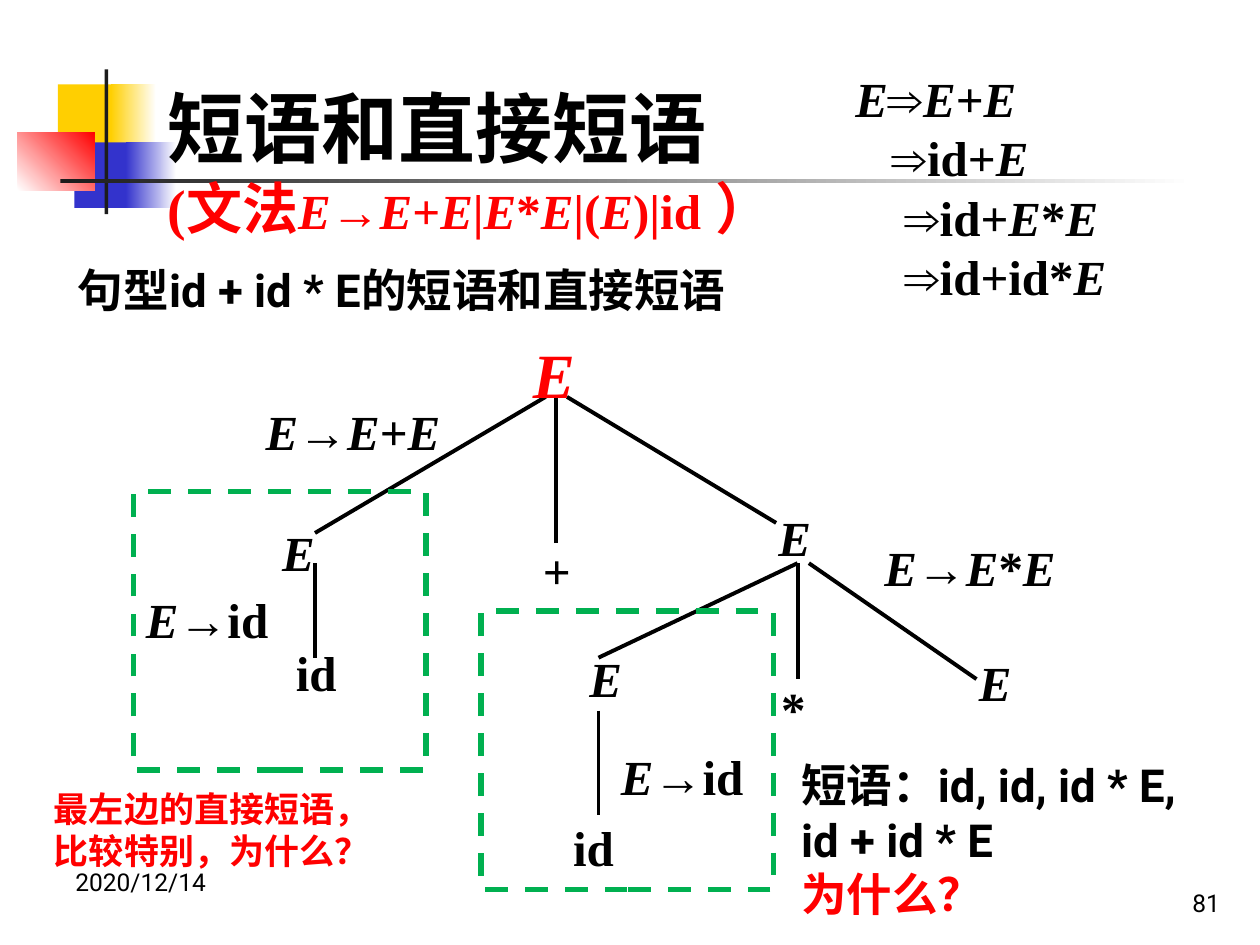
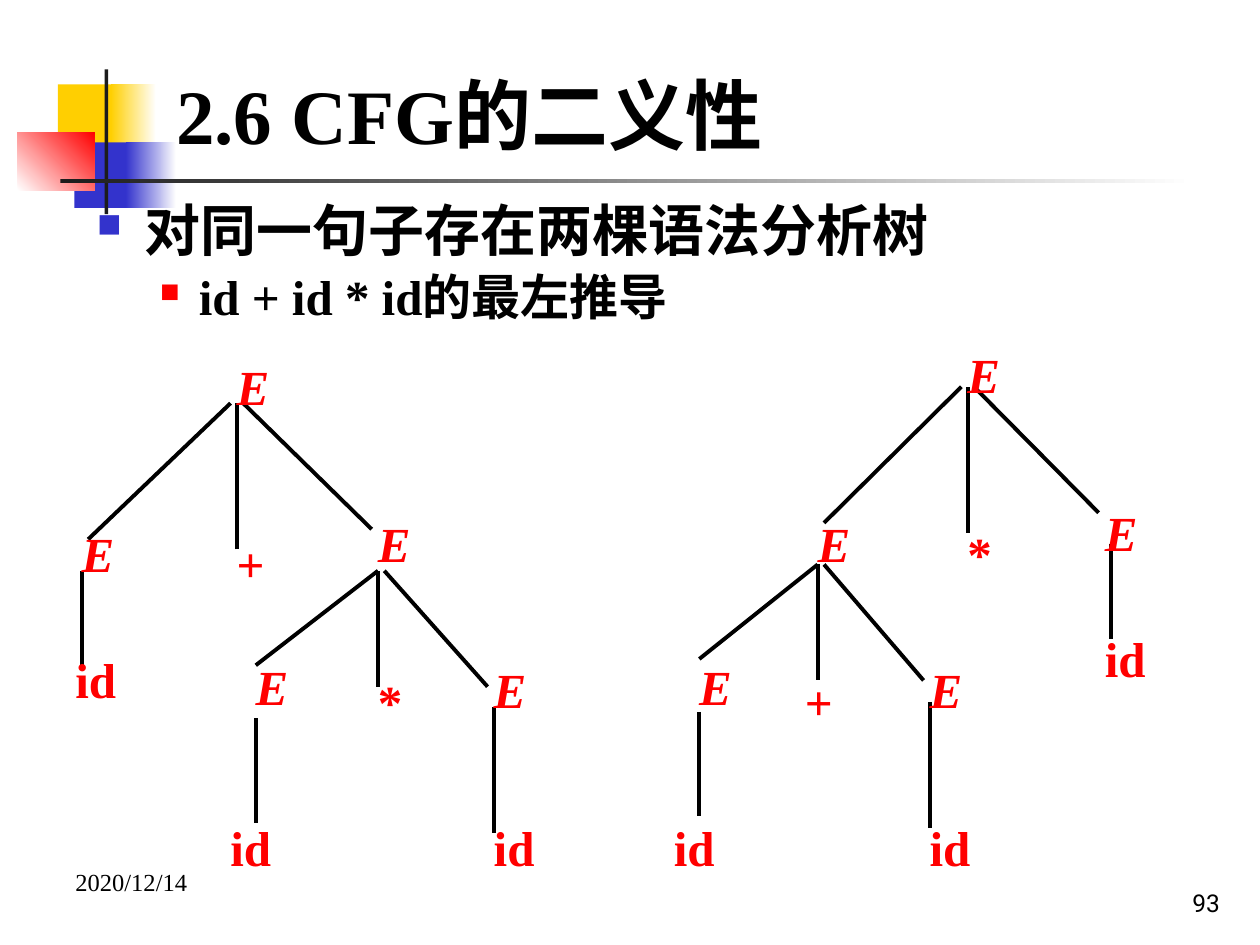
"""Build two slides on phrases and ambiguity in context-free grammars."""
from dataclasses import dataclass
from itertools import groupby
from typing import NamedTuple, Optional

from lxml import etree
from pptx import Presentation
from pptx.dml.color import RGBColor
from pptx.enum.dml import MSO_LINE
from pptx.enum.shapes import MSO_CONNECTOR, MSO_SHAPE
from pptx.enum.text import MSO_ANCHOR, PP_ALIGN
from pptx.oxml.ns import qn
from pptx.util import Inches, Pt

RECTANGLE = MSO_SHAPE.RECTANGLE
STRAIGHT = MSO_CONNECTOR.STRAIGHT
DASH = MSO_LINE.DASH
TOP, MIDDLE, BOTTOM = MSO_ANCHOR.TOP, MSO_ANCHOR.MIDDLE, MSO_ANCHOR.BOTTOM
LEFT, RIGHT, JUSTIFY = PP_ALIGN.LEFT, PP_ALIGN.RIGHT, PP_ALIGN.JUSTIFY


@dataclass(frozen=True)
class Theme:
    black: str = "000000"
    white: str = "FFFFFF"
    red: str = "FF0000"
    yellow: str = "FFCF01"
    blue: str = "3333CC"
    charcoal: str = "1C1C1C"
    green: str = "00B050"
    serif: str = "Times New Roman"
    sans: str = "Roboto"
    title: int = 44
    heading: int = 32
    root: int = 36
    formula: int = 28
    body: int = 26
    remark: int = 20
    footer: int = 14
    edge: float = 2.25
    frame: float = 3.25


THEME = Theme()


class Box(NamedTuple):
    left: float
    top: float
    width: float
    height: float


class Band(NamedTuple):
    box: Box
    start: str
    end: Optional[str] = None
    angle: int = 0


class Piece(NamedTuple):
    text: str
    size: int


class Line(NamedTuple):
    pieces: list[Piece]
    color: str = THEME.black
    font: str = THEME.serif
    bold: bool = True
    align: PP_ALIGN = LEFT
    spacing: Optional[float] = None
    before: float = 0
    indent: float = 0
    hanging: float = 0
    bullet_color: Optional[str] = None
    bullet_percent: int = 100


class Node(NamedTuple):
    text: str
    left: float
    top: float
    width: float
    color: str = THEME.black
    size: int = THEME.formula


class Edge(NamedTuple):
    x1: float
    y1: float
    x2: float
    y2: float


BANDS = [
    Band(Box(0.46, 0.67, 0.48, 0.52), THEME.yellow),
    Band(Box(0.88, 0.67, 0.36, 0.52), THEME.yellow, THEME.white),
    Band(Box(0.59, 1.13, 0.46, 0.52), THEME.blue),
    Band(Box(1, 1.13, 0.4, 0.52), THEME.blue, THEME.white),
    Band(Box(0.14, 1.05, 0.61, 0.46), THEME.white, THEME.red, 45),
    Band(Box(0.83, 0.55, 0.03, 1.15), THEME.charcoal),
    Band(Box(0.48, 1.42, 9, 0.03), THEME.charcoal, THEME.white),
]

PHRASE_NODES = [
    Node("E", 4.13, 2.52, 1.25, THEME.red, THEME.root),
    Node("E", 2.14, 4.02, 1.25), Node("+", 4.21, 4.16, 1.25),
    Node("E", 6.08, 3.9, 1.25), Node("id", 2.25, 4.97, 1.25),
    Node("E", 4.58, 5.02, 1.25), Node("*", 6.1, 5.26, 1.25),
    Node("E", 7.67, 5.05, 1.25), Node("id", 4.45, 6.36, 1.25),
    Node("E→E+E", 2.01, 3.06, 1.74), Node("E→id", 1.06, 4.55, 1.27),
    Node("E→E*E", 6.92, 4.14, 1.58), Node("E→id", 4.83, 5.8, 1.35),
]
PHRASE_EDGES = [
    Edge(2.5, 4.23, 4.33, 3.15), Edge(6.16, 4.15, 4.5, 3.15),
    Edge(4.41, 4.31, 4.41, 3.15), Edge(2.5, 5.22, 2.5, 4.47),
    Edge(4.75, 5.22, 6.33, 4.47), Edge(6.33, 4.47, 6.33, 5.39),
    Edge(6.42, 4.47, 7.75, 5.39), Edge(4.75, 5.64, 4.75, 6.47),
]
PHRASE_FRAMES = [Box(1.06, 3.9, 2.32, 2.21), Box(3.82, 4.85, 2.32, 2.21)]

SUM_FIRST_NODES = [Node(text, left, top, 0.77, THEME.red) for text, left, top in [
    ("E", 1.78, 2.7), ("E", 0.55, 4.03), ("+", 1.78, 4.11), ("E", 2.9, 3.95),
    ("id", 0.5, 5.03), ("E", 1.93, 5.08), ("*", 2.9, 5.2), ("E", 3.82, 5.11),
    ("id", 1.73, 6.36), ("id", 3.82, 6.36),
]]
SUM_FIRST_EDGES = [
    Edge(0.7, 4.28, 1.83, 3.2), Edge(1.88, 4.36, 1.88, 3.2),
    Edge(2.95, 4.2, 1.93, 3.2), Edge(0.65, 5.28, 0.65, 4.53),
    Edge(2.03, 5.28, 3, 4.53), Edge(3, 4.53, 3, 5.45),
    Edge(3.05, 4.53, 3.87, 5.45), Edge(2.03, 5.7, 2.03, 6.53),
    Edge(3.92, 5.61, 3.92, 6.61),
]
PRODUCT_FIRST_NODES = [Node(text, left, top, 0.75, THEME.red) for text, left, top in [
    ("E", 7.58, 2.61), ("E", 6.39, 3.95), ("*", 7.58, 4.03), ("E", 8.67, 3.86),
    ("id", 8.67, 4.86), ("E", 5.45, 5.08), ("+", 6.29, 5.2), ("E", 7.28, 5.11),
    ("id", 5.25, 6.36), ("id", 7.28, 6.36),
]]
PRODUCT_FIRST_EDGES = [
    Edge(6.54, 4.15, 7.63, 3.07), Edge(7.68, 4.23, 7.68, 3.07),
    Edge(8.72, 4.07, 7.73, 3.07), Edge(8.82, 5.07, 8.82, 4.32),
    Edge(5.55, 5.23, 6.49, 4.48), Edge(6.49, 4.48, 6.49, 5.4),
    Edge(6.54, 4.48, 7.33, 5.4), Edge(5.55, 5.65, 5.55, 6.48),
    Edge(7.38, 5.57, 7.38, 6.57),
]


def rgb(color: str) -> RGBColor:
    return RGBColor.from_string(color)


def add_bullet(paragraph, color: str, percent: int) -> None:
    properties = paragraph._p.get_or_add_pPr()
    bullet_color = etree.SubElement(properties, qn("a:buClr"))
    etree.SubElement(bullet_color, qn("a:srgbClr"), val=color)
    etree.SubElement(properties, qn("a:buSzPct"), val=str(percent * 1000))
    etree.SubElement(properties, qn("a:buChar"), char="■")


def fill_paragraph(paragraph, line: Line) -> None:
    paragraph.alignment = line.align
    if line.spacing:
        paragraph.line_spacing = line.spacing
    if line.before:
        paragraph.space_before = Pt(line.before)
    if line.indent:
        properties = paragraph._p.get_or_add_pPr()
        properties.set("marL", str(Inches(line.indent)))
        properties.set("indent", str(Inches(-line.hanging)))
    if line.bullet_color:
        add_bullet(paragraph, line.bullet_color, line.bullet_percent)
    paragraph.font.name = line.font
    paragraph.font.bold = line.bold
    paragraph.font.color.rgb = rgb(line.color)
    paragraph.font.size = Pt(line.pieces[0].size)
    for piece in line.pieces:
        for is_symbol, letters in groupby(piece.text, key=lambda letter: letter == "E"):
            run = paragraph.add_run()
            run.text = "".join(letters)
            run.font.size = Pt(piece.size)
            run.font.name = line.font
            run.font.bold = line.bold
            run.font.italic = is_symbol and line.font == THEME.serif
            run.font.color.rgb = rgb(line.color)


def add_text(slide, box: Box, lines: list[Line], anchor: MSO_ANCHOR = TOP,
             inset_top: float = 0.05) -> None:
    frame = slide.shapes.add_textbox(*map(Inches, box)).text_frame
    frame.word_wrap = True
    frame.vertical_anchor = anchor
    frame.margin_top = Inches(inset_top)
    for index, line in enumerate(lines):
        paragraph = frame.add_paragraph() if index else frame.paragraphs[0]
        fill_paragraph(paragraph, line)


def add_band(slide, band: Band) -> None:
    shape = slide.shapes.add_shape(RECTANGLE, *map(Inches, band.box))
    shape.shadow.inherit = False
    shape.line.fill.background()
    if band.end is None:
        shape.fill.solid()
        shape.fill.fore_color.rgb = rgb(band.start)
        return
    shape.fill.gradient()
    shape.fill.gradient_angle = band.angle
    for stop, color in zip(shape.fill.gradient_stops, (band.start, band.end)):
        stop.color.rgb = rgb(color)


def add_frame(slide, box: Box) -> None:
    shape = slide.shapes.add_shape(RECTANGLE, *map(Inches, box))
    shape.shadow.inherit = False
    shape.fill.background()
    shape.line.color.rgb = rgb(THEME.green)
    shape.line.width = Pt(THEME.frame)
    shape.line.dash_style = DASH


def add_tree(slide, nodes: list[Node], edges: list[Edge]) -> None:
    for edge in edges:
        branch = slide.shapes.add_connector(STRAIGHT, *map(Inches, edge))
        branch.line.color.rgb = rgb(THEME.black)
        branch.line.width = Pt(THEME.edge)
        etree.SubElement(branch._element.spPr, qn("a:effectLst"))
    for node in nodes:
        height = 0.76 if node.size == THEME.root else 0.61
        add_text(slide, Box(node.left, node.top, node.width, height),
                 [Line([Piece(node.text, node.size)], node.color, spacing=1.1)],
                 inset_top=0.08)


def start_slide(deck, number: str, date_font: str):
    slide = deck.slides.add_slide(deck.slide_layouts[6])
    for band in BANDS:
        add_band(slide, band)
    add_text(slide, Box(0.5, 6.83, 2.33, 0.52),
             [Line([Piece("2020/12/14", THEME.footer)], font=date_font, bold=False)])
    add_text(slide, Box(7.7, 6.83, 2.08, 0.5),
             [Line([Piece(number, THEME.footer)], font=THEME.sans, bold=False, align=RIGHT)],
             BOTTOM)
    return slide


def sans_line(text: str, size: int, color: str = THEME.black) -> Line:
    return Line([Piece(text, size)], color, THEME.sans)


def build_phrases(deck) -> None:
    slide = start_slide(deck, "81", THEME.sans)
    add_tree(slide, PHRASE_NODES, PHRASE_EDGES)
    add_text(slide, Box(0.52, 2.03, 5.73, 0.54),
             [sans_line("句型id + id * E的短语和直接短语", THEME.body)])
    derivation = [("E⇒E+E", 0), ("⇒id+E", 0.29), ("⇒id+E*E", 0.39), ("⇒id+id*E", 0.39)]
    add_text(slide, Box(6.69, 0.68, 2.93, 1.93),
             [Line([Piece(step, THEME.formula)], spacing=Pt(20), indent=indent,
                   before=14 if row else 0)
              for row, (step, indent) in enumerate(derivation)])
    for box in PHRASE_FRAMES:
        add_frame(slide, box)
    add_text(slide, Box(1.23, 0.85, 6.92, 0.85), [
        Line([Piece("短语和直接短语", THEME.title)]),
        Line([Piece("(文法", THEME.heading), Piece("E→E+E|E*E|(E)|id", THEME.formula),
              Piece(" ）", THEME.heading)], THEME.red),
    ], MIDDLE)
    add_text(slide, Box(0.33, 6.2, 2.74, 0.77),
             [sans_line(text, THEME.remark, THEME.red)
              for text in ("最左边的直接短语，", "比较特别，为什么？")])
    add_text(slide, Box(6.26, 5.96, 3.65, 1.41), [
        sans_line("短语：id, id, id * E,", THEME.body),
        sans_line("id + id * E", THEME.body),
        sans_line("为什么？", THEME.body, THEME.red),
    ])


def build_ambiguity(deck) -> None:
    slide = start_slide(deck, "93", THEME.serif)
    add_text(slide, Box(1.3, 0.28, 8.5, 1.25),
             [Line([Piece("2.6 CFG的二义性", THEME.title)])], MIDDLE)
    add_text(slide, Box(0.67, 1.56, 8.83, 1.17), [
        Line([Piece("对同一句子存在两棵语法分析树", THEME.heading)], align=JUSTIFY, spacing=0.9,
             indent=0.38, hanging=0.38, bullet_color=THEME.blue, bullet_percent=60),
        Line([Piece("id + id * id的最左推导", THEME.formula)], align=JUSTIFY, spacing=0.9,
             before=5.6, indent=0.81, hanging=0.31, bullet_color=THEME.red, bullet_percent=55),
    ])
    add_tree(slide, PRODUCT_FIRST_NODES, PRODUCT_FIRST_EDGES)
    add_tree(slide, SUM_FIRST_NODES, SUM_FIRST_EDGES)


def main() -> None:
    deck = Presentation()
    deck.slide_width, deck.slide_height = Inches(10), Inches(7.5)
    build_phrases(deck)
    build_ambiguity(deck)
    deck.save("out.pptx")


if __name__ == "__main__":
    main()
